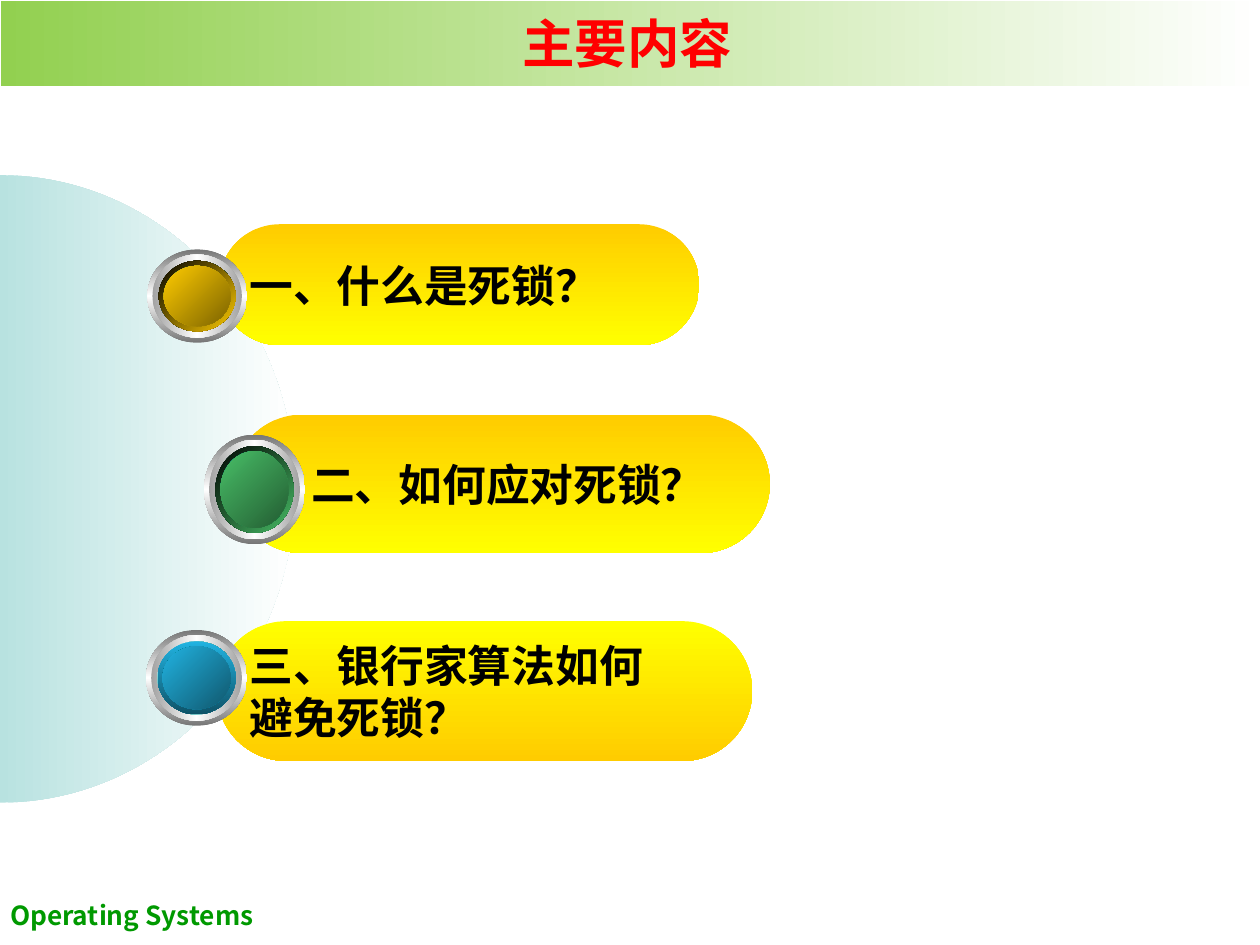
import math
import pptx
import pptx.dml.color
import pptx.enum.shapes
import pptx.enum.text
import pptx.oxml
import pptx.oxml.ns
import pptx.util

Inches = pptx.util.Inches
KIND = pptx.enum.shapes.MSO_SHAPE
ALIGN = pptx.enum.text.PP_ALIGN
ANCHOR = pptx.enum.text.MSO_ANCHOR

THEME = {
    "head": ("Arial", 30, "FF0000"),
    "item": ("Arial", 25, "000000"),
    "foot": ("Noto Sans CJK SC", 15, "009900"),
    "bar": ["92D050", "FFFFFF"],
    "disc": ["B8E2E0", "FFFFFF"],
    "pill": ["FFCC00", "FFFF00"],
    "rim": ["767676", "FFFFFF", "767676"],
    "ring": ["A2A2A2", "FFFFFF", "A2A2A2"],
    "glow": ["FFFFFF", "009999", "FFFFFF"],
    "core": ["005353", "009999", "005353"],
}

HEAD = "主要内容"
FOOT = "Operating Systems"
ITEMS = [
    {"lines": ["三、银行家算法如何", "避免死锁？"], "pill": (1.72, 4.93, 4.25, 1.11),
     "flip": True, "left": 0.1, "orb": (1.16, 5, 0.8, 0.76),
     "edge": (["21B3E1", "0F5368"], 90), "face": ["21B3E1", "10576D"]},
    {"lines": ["二、如何应对死锁？"], "pill": (1.85, 3.29, 4.26, 1.1),
     "flip": False, "left": 0.46, "orb": (1.62, 3.45, 0.8, 0.87),
     "edge": (["000000", "48BE67"], 45), "face": ["48BE67", "235C32"]},
    {"lines": ["一、什么是死锁？"], "pill": (1.74, 1.78, 3.81, 0.96),
     "flip": False, "left": 0.1, "orb": (1.17, 1.98, 0.79, 0.74),
     "edge": (["000000", "FFCC00"], 45), "face": ["FFCC00", "7C6300"]},
]


def paint(shape, tones, angle):
    shape.shadow.inherit = False
    shape.line.fill.background()
    shape.fill.gradient()
    shape.fill.gradient_angle = -angle % 360
    stops = shape.element.spPr.find(".//" + pptx.oxml.ns.qn("a:gsLst"))
    for stop in list(stops):
        stops.remove(stop)
    for i, tone in enumerate(tones):
        place = 100000 * i // (len(tones) - 1)
        stops.append(pptx.oxml.parse_xml(
            f'<a:gs {pptx.oxml.ns.nsdecls("a")} pos="{place}">'
            f'<a:srgbClr val="{tone}"/></a:gs>'))


def draw(slide, kind, box, tones, angle):
    shape = slide.shapes.add_shape(kind, *map(Inches, box))
    paint(shape, tones, angle)
    return shape


def write(frame, lines, style, align, pads, anchor):
    face, size, tone = THEME[style]
    frame.word_wrap = True
    frame.auto_size = pptx.enum.text.MSO_AUTO_SIZE.NONE
    frame.vertical_anchor = anchor
    frame.margin_left, frame.margin_top, frame.margin_right, frame.margin_bottom = map(Inches, pads)
    for i, line in enumerate(lines):
        para = frame.add_paragraph() if i else frame.paragraphs[0]
        para.alignment = align
        run = para.add_run()
        run.text = line
        run.font.name = face
        run.font.size = pptx.util.Pt(size)
        run.font.bold = True
        run.font.color.rgb = pptx.dml.color.RGBColor.from_string(tone)


def add_head(slide):
    title = slide.shapes.title
    title.left, title.top, title.width, title.height = map(Inches, (3.48, 0.05, 3, 0.58))
    write(title.text_frame, [HEAD], "head", ALIGN.CENTER, (0.08, 0.04, 0.08, 0.04), ANCHOR.TOP)
    bar = draw(slide, KIND.RECTANGLE, (0.01, 0.01, 10.02, 0.67), THEME["bar"], 0)
    title.element.addprevious(bar.element)


def add_disc(slide):
    wide, tall, mid = 2.34, 2.49, 3.88
    turns = [math.pi * (i / 90 - 0.5) for i in range(91)]
    dots = [(Inches(wide * math.cos(t)), Inches(mid + tall * math.sin(t))) for t in turns]
    path = slide.shapes.build_freeform(*dots[0])
    path.add_line_segments(dots[1:], close=True)
    paint(path.convert_to_shape(), THEME["disc"], 0)


def add_pill(slide, item):
    tones = THEME["pill"][::-1] if item["flip"] else THEME["pill"]
    pill = draw(slide, KIND.ROUNDED_RECTANGLE, item["pill"], tones, 90)
    pill.adjustments[0] = 0.5
    write(pill.text_frame, item["lines"], "item", ALIGN.LEFT,
          (item["left"], 0.05, 0.1, 0.05), ANCHOR.MIDDLE)


def add_orb(slide, item):
    left, top, width, height = item["orb"]
    layers = [
        (0, THEME["rim"], 90),
        (0.04, THEME["ring"], 0),
        (0.09, THEME["glow"], 45),
        (0.09, *item["edge"]),
        (0.13, THEME["core"], 315),
        (0.13, item["face"], 45),
    ]
    for gap, tones, angle in layers:
        box = (left + gap, top + gap, width - 2 * gap, height - 2 * gap)
        draw(slide, KIND.OVAL, box, tones, angle)


def main():
    deck = pptx.Presentation()
    deck.slide_width, deck.slide_height = Inches(10), Inches(7.5)
    slide = deck.slides.add_slide(deck.slide_layouts[5])
    add_head(slide)
    add_disc(slide)
    for item in ITEMS:
        add_pill(slide, item)
    for item in reversed(ITEMS):
        add_orb(slide, item)
    foot = slide.shapes.add_textbox(*map(Inches, (0, 7.1, 2.94, 0.33)))
    write(foot.text_frame, [FOOT], "foot", ALIGN.LEFT, (0.08, 0.04, 0.08, 0.04), ANCHOR.TOP)
    deck.save("out.pptx")


if __name__ == "__main__":
    main()
